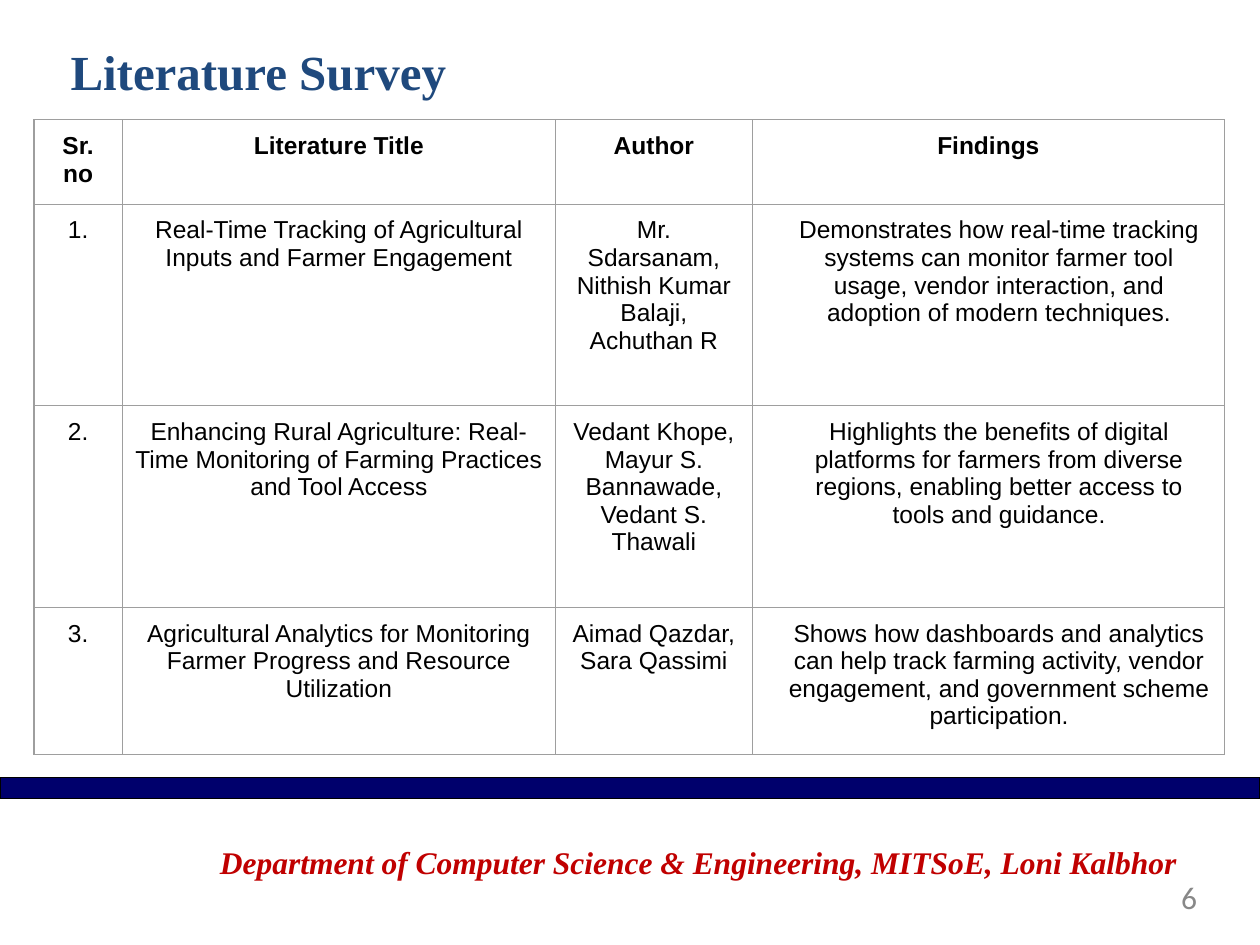
from dataclasses import dataclass

from lxml import etree
from pptx import Presentation, util as u
from pptx.dml.color import RGBColor
from pptx.enum import shapes, text
from pptx.oxml.ns import qn


@dataclass(frozen=True)
class Theme:
    """Colours, typefaces and type sizes of the deck."""

    title_color: str = "1F497D"
    body_color: str = "000000"
    footer_color: str = "C00000"
    number_color: str = "888888"
    bar_color: str = "00006C"
    grid_color: str = "9E9E9E"
    serif: str = "Times New Roman"
    sans: str = "Arial"
    number_face: str = "Calibri"
    title_size: int = 28
    body_size: int = 14
    footer_size: int = 18
    hairline: float = 0.75


HEADERS = ("Sr. no", "Literature Title", "Author", "Findings")
SURVEY = (
    ("Real-Time Tracking of Agricultural Inputs and Farmer Engagement",
     "Mr. Sdarsanam, Nithish Kumar Balaji, Achuthan R",
     "Demonstrates how real-time tracking systems can monitor farmer tool usage, "
     "vendor interaction, and adoption of modern techniques."),
    ("Enhancing Rural Agriculture: Real-Time Monitoring of Farming Practices and Tool Access",
     "Vedant Khope, Mayur S. Bannawade, Vedant S. Thawali",
     "Highlights the benefits of digital platforms for farmers from diverse regions, "
     "enabling better access to tools and guidance."),
    ("Agricultural Analytics for Monitoring Farmer Progress and Resource Utilization",
     "Aimad Qazdar, Sara Qassimi",
     "Shows how dashboards and analytics can help track farming activity, vendor "
     "engagement, and government scheme participation."),
)
COLUMN_WIDTHS = (0.7, 3.44, 1.56, 3.75)
ROW_HEIGHTS = (0.67, 1.6, 1.6, 1.17)


def write(frame, words, *, face, size, color, align="LEFT", bold=False, italic=False, indent=0):
    """Put one formatted paragraph into a text frame."""
    para = frame.paragraphs[0]
    para.alignment = getattr(text.PP_ALIGN, align)
    if indent:
        para._p.get_or_add_pPr().set("marL", str(u.Inches(indent)))
    span = para.add_run()
    span.text = words
    span.font.name = face
    span.font.size = u.Pt(size)
    span.font.bold = bold
    span.font.italic = italic
    span.font.color.rgb = RGBColor.from_string(color)


class SlideBuilder:
    """Hold the theme and current slide, and add each kind of element."""

    def __init__(self, theme, page):
        self.theme = theme
        self.page = page

    def title(self, words, left, top, width, height):
        """Place and format the title placeholder."""
        box = self.page.shapes.title
        box.left, box.top, box.width, box.height = map(u.Inches, (left, top, width, height))
        frame = box.text_frame
        frame.auto_size = text.MSO_AUTO_SIZE.NONE
        frame.vertical_anchor = text.MSO_ANCHOR.MIDDLE
        write(frame, words, face=self.theme.serif, size=self.theme.title_size,
              color=self.theme.title_color, bold=True)

    def bar(self, left, top, width, height):
        """Add the outlined footer bar."""
        box = self.page.shapes.add_shape(
            shapes.MSO_SHAPE.RECTANGLE, *map(u.Inches, (left, top, width, height)))
        box.shadow.inherit = False
        box.fill.solid()
        box.fill.fore_color.rgb = RGBColor.from_string(self.theme.bar_color)
        box.line.color.rgb = RGBColor.from_string(self.theme.body_color)
        box.line.width = u.Pt(self.theme.hairline)

    def label(self, words, left, top, width, height, **style):
        """Add a text box without margins."""
        box = self.page.shapes.add_textbox(*map(u.Inches, (left, top, width, height)))
        frame = box.text_frame
        frame.word_wrap = True
        frame.margin_left = frame.margin_top = frame.margin_right = frame.margin_bottom = 0
        write(frame, words, size=self.theme.footer_size, **style)

    def border(self, cell):
        """Draw a thin line on all four sides of a cell."""
        properties = cell._tc.get_or_add_tcPr()
        for side in ("lnL", "lnR", "lnT", "lnB"):
            line = etree.SubElement(properties, qn(f"a:{side}"), w=str(u.Pt(self.theme.hairline)))
            fill = etree.SubElement(line, qn("a:solidFill"))
            etree.SubElement(fill, qn("a:srgbClr"), val=self.theme.grid_color)

    def table(self, rows, left, top, widths, heights):
        """Add a bordered table with a bold header and indented last column."""
        table = self.page.shapes.add_table(
            len(rows), len(widths),
            *map(u.Inches, (left, top, sum(widths), sum(heights)))).table
        table.first_row = table.horz_banding = False
        for column, width in zip(table.columns, widths):
            column.width = u.Inches(width)
        for row, height in zip(table.rows, heights):
            row.height = u.Inches(height)
        for i, row in enumerate(rows):
            for j, words in enumerate(row):
                cell = table.cell(i, j)
                cell.margin_left = cell.margin_right = u.Inches(0.1)
                cell.margin_top = cell.margin_bottom = u.Inches(0.1)
                self.border(cell)
                cell.fill.background()
                is_finding = i > 0 and j == len(widths) - 1
                write(cell.text_frame, words, face=self.theme.sans, size=self.theme.body_size,
                      color=self.theme.body_color, align="CENTER", bold=i == 0,
                      indent=0.17 if is_finding else 0)


def main():
    """Build and save the literature survey slide."""
    deck = Presentation()
    deck.slide_width, deck.slide_height = u.Inches(10), u.Inches(7.5)
    theme = Theme()
    builder = SlideBuilder(theme, deck.slides.add_slide(deck.slide_layouts[5]))
    builder.bar(0, 6.17, 10, 0.17)
    builder.label("6", 7.2, 6.97, 2.3, 0.38, face=theme.number_face,
                  color=theme.number_color, align="RIGHT")
    builder.title("Literature Survey", 0.46, 0.25, 8.76, 0.63)
    builder.label("Department of Computer Science & Engineering, MITSoE, Loni Kalbhor",
                  1.51, 6.69, 8.07, 0.73, face=theme.serif, color=theme.footer_color,
                  align="CENTER", bold=True, italic=True)
    numbered = [(f"{number}.", *entry) for number, entry in enumerate(SURVEY, 1)]
    builder.table([HEADERS, *numbered], 0.27, 0.95, COLUMN_WIDTHS, ROW_HEIGHTS)
    deck.save("out.pptx")


if __name__ == "__main__":
    main()
